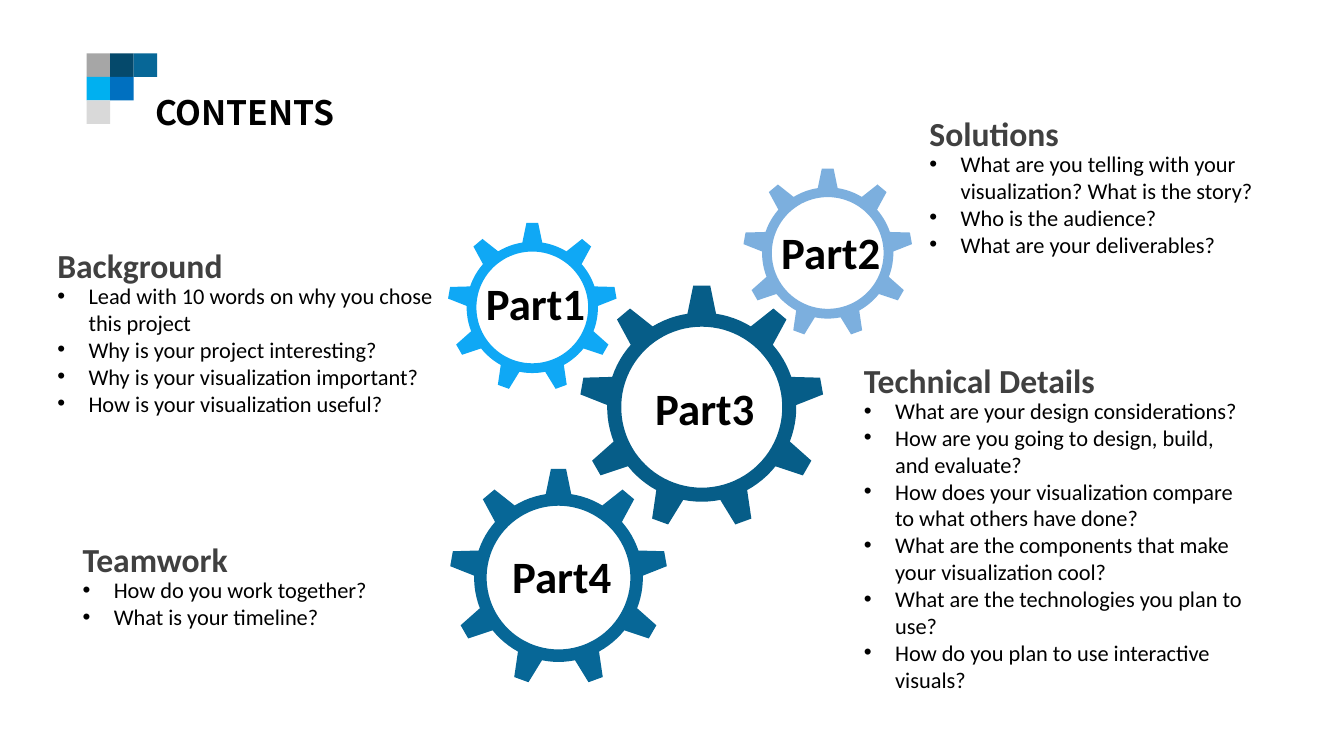
from math import cos, radians, sin

from lxml.etree import SubElement
from pptx import Presentation
from pptx.dml.color import RGBColor
from pptx.enum.shapes import MSO_SHAPE
from pptx.enum.text import MSO_AUTO_SIZE
from pptx.oxml.ns import qn
from pptx.util import Inches, Pt

BLACK = RGBColor(0x00, 0x00, 0x00)
CHARCOAL = RGBColor(0x40, 0x40, 0x40)
GRAY = RGBColor(0xA6, 0xA6, 0xA6)
PALE_GRAY = RGBColor(0xD9, 0xD9, 0xD9)
NAVY = RGBColor(0x05, 0x49, 0x6B)
DEEP_BLUE = RGBColor(0x06, 0x5D, 0x88)
OCEAN = RGBColor(0x07, 0x67, 0x97)
CYAN = RGBColor(0x00, 0xB0, 0xF0)
BLUE = RGBColor(0x00, 0x70, 0xC0)
SKY = RGBColor(0x0F, 0xA8, 0xF5)
SOFT_BLUE = RGBColor(0x7C, 0xAF, 0xDE)

# Rows of the mosaic, each starting at its left edge
MOSAIC = [[GRAY, NAVY, OCEAN], [CYAN, BLUE], [PALE_GRAY]]

# Label, centre x, centre y, outer radius, label top, colour
GEARS = [
    ("Part2", 8.21, 2.51, 0.84, 2.18, SOFT_BLUE),
    ("Part3", 6.96, 4.04, 1.21, 3.73, DEEP_BLUE),
    ("Part1", 5.28, 3.05, 0.84, 2.69, SKY),
    ("Part4", 5.54, 5.73, 1.08, 5.39, OCEAN),
]

# Heading, left, top, width and height of the list, questions
SECTIONS = [
    ("Solutions", 9.12, 1.07, 3.55, 1.18, [
        "What are you telling with your visualization? What is the story?",
        "Who is the audience?",
        "What are your deliverables?"]),
    ("Technical Details", 8.47, 3.52, 4.05, 3.06, [
        "What are your design considerations?",
        "How are you going to design, build, and evaluate?",
        "How does your visualization compare to what others have done?",
        "What are the components that make your visualization cool?",
        "What are the technologies you plan to use?",
        "How do you plan to use interactive visuals?"]),
    ("Teamwork", 0.72, 5.3, 3.55, 0.64, [
        "How do you work together?",
        "What is your timeline?"]),
    ("Background", 0.47, 2.38, 4.01, 1.45, [
        "Lead with 10 words on why you chose this project",
        "Why is your project interesting?",
        "Why is your visualization important?",
        "How is your visualization useful?"]),
]


class ContentsSlide:
    font = "Calibri"
    teeth = 9
    tip_angle, base_angle = 4, 8.7
    root_ratio, hole_ratio = 0.775, 0.66

    def __init__(self, slide):
        self.shapes = slide.shapes

    def paint(self, shape, color):
        shape.shadow.inherit = False
        shape.fill.solid()
        shape.fill.fore_color.rgb = color
        shape.line.fill.background()

    def square(self, left, top, side, color):
        self.paint(self.shapes.add_shape(
            MSO_SHAPE.RECTANGLE, Inches(left), Inches(top), Inches(side), Inches(side)), color)

    def text(self, lines, left, top, width, height, size,
             color=BLACK, bold=False, font=font, bulleted=False):
        frame = self.shapes.add_textbox(
            Inches(left), Inches(top), Inches(width), Inches(height)).text_frame
        frame.word_wrap = True
        frame.auto_size = MSO_AUTO_SIZE.SHAPE_TO_FIT_TEXT
        for index, line in enumerate(lines):
            paragraph = frame.add_paragraph() if index else frame.paragraphs[0]
            run = paragraph.add_run()
            run.text = line
            run.font.name, run.font.size, run.font.bold = font, Pt(size), bold
            run.font.color.rgb = color
            # East Asian typeface follows the Latin one
            SubElement(run.font._element, qn("a:ea"), typeface=font)
            if bulleted:
                self.bullet(paragraph)

    def bullet(self, paragraph):
        properties = paragraph._p.get_or_add_pPr()
        properties.set("marL", str(Inches(0.31)))
        properties.set("indent", str(Inches(-0.31)))
        SubElement(properties, qn("a:buFont"), typeface="Arial")
        SubElement(properties, qn("a:buChar"), char="•")

    def gear(self, label, x, y, radius, label_top, color):
        def point(angle, ratio):
            """Point at a clockwise angle from the top, at a share of the radius."""
            turn, reach = radians(angle), radius * ratio
            return Inches(x + reach * sin(turn)), Inches(y - reach * cos(turn))

        pitch = 360 / self.teeth
        arc_step = (pitch - 2 * self.base_angle) / 6
        outline = []
        for tooth in range(self.teeth):
            middle = tooth * pitch
            outline += [point(middle - self.tip_angle, 1), point(middle + self.tip_angle, 1)]
            outline += [point(middle + self.base_angle + step * arc_step, self.root_ratio)
                        for step in range(7)]
        hole = [point(-angle, self.hole_ratio) for angle in range(0, 360, 4)]

        builder = self.shapes.build_freeform(*outline[0])
        builder.add_line_segments(outline[1:])
        builder.move_to(*hole[0])
        builder.add_line_segments(hole[1:])
        self.paint(builder.convert_to_shape(), color)
        self.text([label], x - 0.56, label_top, 1.25, 0.64, 32, bold=True)

    def section(self, heading, left, top, width, height, questions):
        self.text([heading], left, top, 4.05, 0.5, 24, CHARCOAL, bold=True)
        self.text(questions, left, top + 0.37, width, height, 16, bulleted=True)


def main():
    deck = Presentation()
    deck.slide_width, deck.slide_height = Inches(13.33), Inches(7.5)
    contents = ContentsSlide(deck.slides.add_slide(deck.slide_layouts[6]))

    tile = 0.233
    for row, colors in enumerate(MOSAIC):
        for column, color in enumerate(colors):
            contents.square(0.86 + column * tile, 0.53 + row * tile, tile, color)
    contents.text(["CONTENTS"], 1.44, 0.86, 3.12, 0.5, 24, bold=True, font="Noto Sans CJK SC")

    for gear in GEARS:
        contents.gear(*gear)
    for section in SECTIONS:
        contents.section(*section)
    deck.save("out.pptx")


if __name__ == "__main__":
    main()
